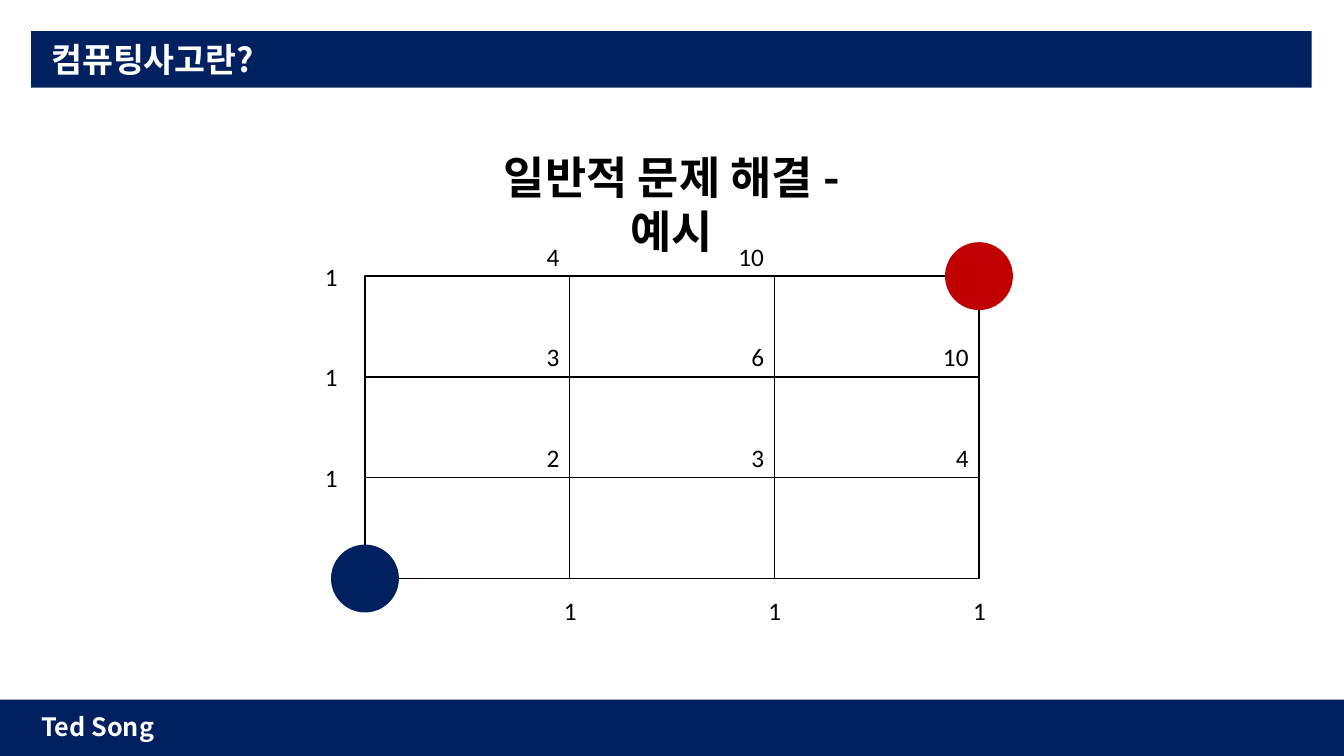
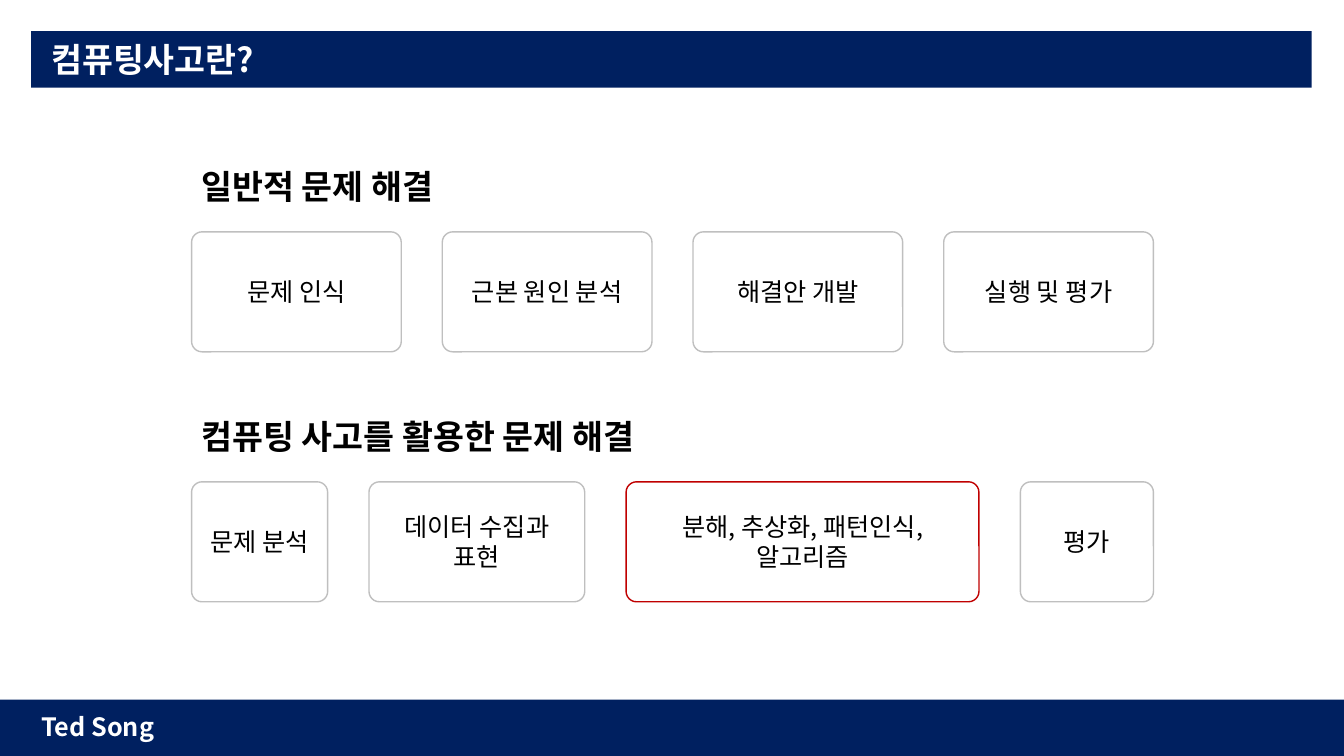
"""Build two slides on computational thinking and problem solving."""
import pptx
import pptx.dml.color
import pptx.enum.shapes
import pptx.enum.text
import pptx.oxml.ns
import pptx.util
from lxml import etree

Inches = pptx.util.Inches
Pt = pptx.util.Pt
RGBColor = pptx.dml.color.RGBColor
SHAPE = pptx.enum.shapes.MSO_SHAPE
ALIGN = pptx.enum.text.PP_ALIGN
ANCHOR = pptx.enum.text.MSO_ANCHOR

NAVY = RGBColor(0x00, 0x20, 0x60)
RED = RGBColor(0xC0, 0x00, 0x00)
GRAY = RGBColor(0xBF, 0xBF, 0xBF)
BLACK = RGBColor(0x00, 0x00, 0x00)
WHITE = RGBColor(0xFF, 0xFF, 0xFF)
KOREAN = "Noto Sans CJK KR"
LATIN = "Calibri"


def write(tf, text, size=18, color=BLACK, bold=False, font=KOREAN,
          align=ALIGN.LEFT, spacing=None, anchor=ANCHOR.TOP, wrap=True):
    tf.word_wrap = wrap
    tf.vertical_anchor = anchor
    p = tf.paragraphs[0]
    p.alignment = align
    if spacing:
        p.line_spacing = spacing
    r = p.add_run()
    r.text = text
    r.font.size = Pt(size)
    r.font.bold = bold
    r.font.color.rgb = color
    r.font.name = font
    ea = etree.SubElement(r.font._element, pptx.oxml.ns.qn("a:ea"))
    ea.set("typeface", font)


class Deck:
    def __init__(self):
        self.prs = pptx.Presentation()
        self.prs.slide_width = Inches(13.33)
        self.prs.slide_height = Inches(7.5)
        self.s = None

    def slide(self, title, author):
        self.s = self.prs.slides.add_slide(self.prs.slide_layouts[6])
        self.shape(SHAPE.RECTANGLE, 0.31, 0.31, 12.7, 0.56, NAVY)
        self.text(title, 0.41, 0.34, 12.5, 0.5, size=24, color=WHITE, bold=True)
        self.shape(SHAPE.RECTANGLE, 0, 6.94, 13.33, 0.56, NAVY)
        self.text(author, 0.31, 7.01, 1.63, 0.4, color=WHITE, bold=True)

    def shape(self, kind, x, y, w, h, fill, line=None):
        sp = self.s.shapes.add_shape(kind, Inches(x), Inches(y), Inches(w), Inches(h))
        sp.shadow.inherit = False
        sp.fill.solid()
        sp.fill.fore_color.rgb = fill
        if line is None:
            sp.line.fill.background()
        else:
            sp.line.color.rgb = line
            sp.line.width = Pt(1)
        return sp

    def text(self, text, x, y, w, h, **style):
        sp = self.s.shapes.add_textbox(Inches(x), Inches(y), Inches(w), Inches(h))
        write(sp.text_frame, text, **style)

    def number(self, value, x, y, w=0.33):
        self.text(str(value), x, y, w, 0.4, font=LATIN, align=ALIGN.CENTER, wrap=False)

    def dot(self, x, y, color, d=0.66):
        self.shape(SHAPE.OVAL, x - d / 2, y - d / 2, d, d, color, color)

    def card(self, text, x, y, w, h, line):
        sp = self.shape(SHAPE.ROUNDED_RECTANGLE, x, y, w, h, WHITE, line)
        sp.adjustments[0] = 0.087
        write(sp.text_frame, text, align=ALIGN.CENTER, anchor=ANCHOR.MIDDLE)

    def steps(self, heading, y, cards, left=1.9, width=9.54):
        self.text(heading, left, y, 4.97, 0.64, size=24, bold=True, spacing=1.5)
        gap = (width - sum(w for _, w, _ in cards)) / (len(cards) - 1)
        x = left
        for text, w, line in cards:
            self.card(text, x, y + 0.9, w, 1.19, line)
            x += w + gap


def path_slide(deck):
    deck.text("일반적 문제 해결 - 예시", 4.52, 1.44, 4.29, 0.64,
              size=32, bold=True, align=ALIGN.CENTER)
    xs = [3.62 + 2.03 * i for i in range(4)]
    ys = [2.74 + i for i in range(4)]
    for y in ys[:-1]:
        for x in xs[:-1]:
            deck.shape(SHAPE.RECTANGLE, x, y, 2.03, 1, WHITE, BLACK)
    deck.dot(xs[0], ys[-1], NAVY)
    deck.dot(xs[-1], ys[0], RED)
    for y in ys[:-1]:
        deck.number(1, 3.12, y - 0.2)
    for x in xs[1:]:
        deck.number(1, x - 0.16, 5.86)
    for y, counts in zip(ys, [[4, 10], [3, 6, 10], [2, 3, 4]]):
        for x, count in zip(xs[1:], counts):
            w = 0.46 if count >= 10 else 0.33
            deck.number(count, x - w, y - 0.4, w)


def steps_slide(deck):
    general = ["문제 인식", "근본 원인 분석", "해결안 개발", "실행 및 평가"]
    deck.steps("일반적 문제 해결", 1.4, [(t, 2.08, GRAY) for t in general])
    deck.steps("컴퓨팅 사고를 활용한 문제 해결", 3.88, [
        ("문제 분석", 1.35, GRAY),
        ("데이터 수집과 표현", 2.14, GRAY),
        ("분해, 추상화, 패턴인식, 알고리즘", 3.5, RED),
        ("평가", 1.32, GRAY),
    ])


def main():
    deck = Deck()
    for build in (path_slide, steps_slide):
        deck.slide("컴퓨팅사고란?", "Ted Song")
        build(deck)
    deck.prs.save("out.pptx")


if __name__ == "__main__":
    main()
